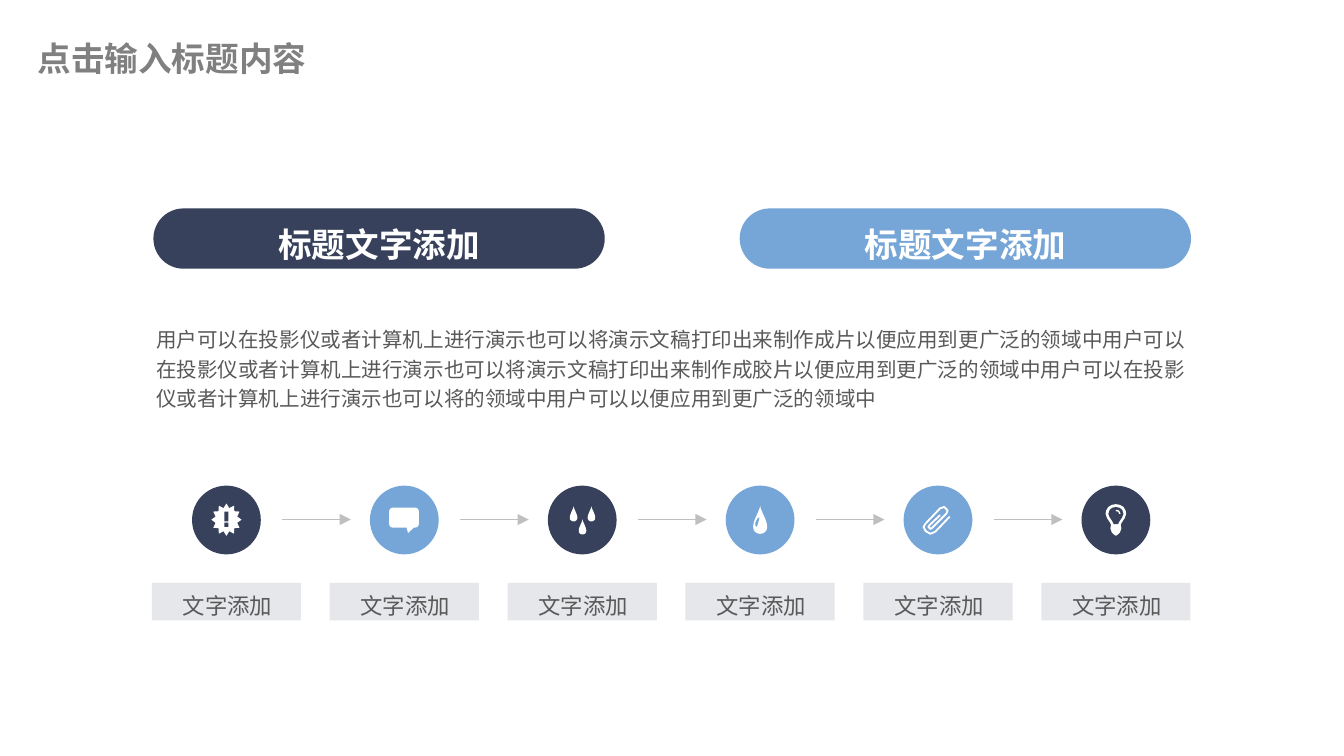
from dataclasses import dataclass
from math import cos, pi, sin

from lxml.etree import SubElement
from pptx import Presentation
from pptx.dml.color import RGBColor
from pptx.enum.shapes import MSO_CONNECTOR, MSO_SHAPE
from pptx.enum.text import MSO_ANCHOR, PP_ALIGN
from pptx.oxml.ns import qn
from pptx.util import Cm, Pt


@dataclass(frozen=True)
class Theme:
    font: str = "Noto Sans CJK SC"
    navy: str = "37415C"
    blue: str = "76A6D7"
    white: str = "FFFFFF"
    label: str = "E6E7EA"
    arrow: str = "BFBFBF"
    title: str = "808080"
    text: str = "595959"
    heading_size: float = 18
    label_size: float = 12
    body_size: float = 11


@dataclass(frozen=True)
class Box:
    left: float
    top: float
    width: float
    height: float

    def lengths(self):
        return Cm(self.left), Cm(self.top), Cm(self.width), Cm(self.height)

    def inner(self, left, top, width, height):
        return Box(self.left + left * self.width, self.top + top * self.height,
                   width * self.width, height * self.height)

    def point(self, x, y):
        return Cm(self.left + x * self.width), Cm(self.top + y * self.height)


THEME = Theme()
BODY = ("用户可以在投影仪或者计算机上进行演示也可以将演示文稿打印出来制作成片以便应用到更广泛的领域中"
        "用户可以在投影仪或者计算机上进行演示也可以将演示文稿打印出来制作成胶片以便应用到更广泛的领域中"
        "用户可以在投影仪或者计算机上进行演示也可以将的领域中用户可以以便应用到更广泛的领域中")


def paint(shape, color):
    shape.shadow.inherit = False
    shape.fill.solid()
    shape.fill.fore_color.rgb = RGBColor.from_string(color)
    shape.line.fill.background()


def add_filled(slide, kind, box, color):
    shape = slide.shapes.add_shape(kind, *box.lengths())
    paint(shape, color)
    return shape


def add_outline(slide, box, points, close=True):
    start, *rest = [box.point(x, y) for x, y in points]
    builder = slide.shapes.build_freeform(*start)
    builder.add_line_segments(rest, close=close)
    return builder.convert_to_shape()


def add_polygon(slide, box, points, color):
    paint(add_outline(slide, box, points), color)


def add_stroke(slide, box, points, width):
    shape = add_outline(slide, box, points, close=False)
    shape.shadow.inherit = False
    shape.fill.background()
    shape.line.color.rgb = RGBColor.from_string(THEME.white)
    shape.line.width = Pt(width)


def write(shape, text, size, color, bold=False, align=PP_ALIGN.LEFT,
          spacing=1.2, margins=(0.18, 0.1)):
    frame = shape.text_frame
    frame.text = text
    frame.word_wrap = True
    frame.margin_left = frame.margin_right = Cm(margins[0])
    frame.margin_top = frame.margin_bottom = Cm(margins[1])
    paragraph = frame.paragraphs[0]
    paragraph.alignment = align
    paragraph.line_spacing = spacing
    font = paragraph.runs[0].font
    font.name = THEME.font
    font.size = Pt(size)
    font.bold = bold
    font.color.rgb = RGBColor.from_string(color)
    SubElement(font._element, qn("a:ea"), typeface=THEME.font)


def place_title(slide, box):
    title = slide.shapes.title
    title.left, title.top, title.width, title.height = box.lengths()
    write(title, "点击输入标题内容", THEME.heading_size, THEME.title, bold=True,
          spacing=1.0, margins=(0, 0.13))
    title.text_frame.vertical_anchor = MSO_ANCHOR.MIDDLE


def place_heading(slide, box, color):
    pill = add_filled(slide, MSO_SHAPE.ROUNDED_RECTANGLE, box, color)
    pill.adjustments[0] = 0.5
    caption = slide.shapes.add_textbox(*box.inner(0.01, 0.03, 0.98, 0.91).lengths())
    write(caption, "标题文字添加", THEME.heading_size, THEME.white, bold=True,
          align=PP_ALIGN.CENTER)


def place_body(slide, box):
    write(slide.shapes.add_textbox(*box.lengths()), BODY, THEME.body_size, THEME.text)


def draw_drop(slide, box):
    angles = [2 * pi * step / 40 for step in range(40)]
    points = [(0.5 + 0.65 * sin(angle) * sin(angle / 2) ** 2, (1 - cos(angle)) / 2)
              for angle in angles]
    add_polygon(slide, box, points, THEME.white)


def mirror(points):
    return points + [(1 - x, y) for x, y in reversed(points[1:-1])]


def draw_alert(slide, box, color):
    star = add_filled(slide, MSO_SHAPE.STAR_12_POINT, box.inner(0.28, 0.26, 0.44, 0.47),
                      THEME.white)
    star.adjustments[0] = 0.37
    for top, height in ((0.38, 0.14), (0.54, 0.06)):
        add_filled(slide, MSO_SHAPE.RECTANGLE, box.inner(0.47, top, 0.06, height), color)


def draw_bubble(slide, box, color):
    bubble = add_filled(slide, MSO_SHAPE.ROUNDED_RECTANGULAR_CALLOUT,
                        box.inner(0.28, 0.32, 0.43, 0.29), THEME.white)
    for index, value in enumerate((0.14, 0.77, 0.17)):
        bubble.adjustments[index] = value


def draw_drops(slide, box, color):
    for left, top in ((0.31, 0.3), (0.57, 0.3), (0.44, 0.49)):
        draw_drop(slide, box.inner(left, top, 0.13, 0.22))


def draw_large_drop(slide, box, color):
    draw_drop(slide, box.inner(0.38, 0.29, 0.24, 0.41))
    add_polygon(slide, box, [(0.49, 0.46), (0.48, 0.51), (0.46, 0.58), (0.45, 0.6),
                             (0.43, 0.58), (0.43, 0.54), (0.46, 0.48)], color)


def draw_clip(slide, box, color):
    add_stroke(slide, box, [
        (0.67, 0.45), (0.46, 0.67), (0.39, 0.7), (0.32, 0.66), (0.29, 0.6),
        (0.32, 0.55), (0.53, 0.33), (0.59, 0.31), (0.64, 0.36), (0.62, 0.41),
        (0.42, 0.61), (0.39, 0.63), (0.36, 0.6), (0.38, 0.57), (0.53, 0.43)], 1)


def draw_bulb(slide, box, color):
    glass = [(0.5, 0.27), (0.56, 0.28), (0.61, 0.31), (0.64, 0.36), (0.65, 0.41),
             (0.63, 0.47), (0.59, 0.53), (0.57, 0.57), (0.58, 0.62), (0.56, 0.68),
             (0.53, 0.71), (0.5, 0.73)]
    inside = [(0.5, 0.31), (0.55, 0.32), (0.59, 0.35), (0.61, 0.41), (0.59, 0.46),
              (0.55, 0.52), (0.53, 0.56), (0.5, 0.56)]
    add_polygon(slide, box, mirror(glass), THEME.white)
    add_polygon(slide, box, mirror(inside), color)
    add_stroke(slide, box, [(0.5, 0.36), (0.54, 0.37), (0.56, 0.41)], 0.75)


def place_step(slide, box, color, draw_icon):
    diameter = 1.3
    circle = Box(box.left + (box.width - diameter) / 2, box.top, diameter, diameter)
    add_filled(slide, MSO_SHAPE.OVAL, circle, color)
    draw_icon(slide, circle, color)
    label = Box(box.left, box.top + box.height - 0.71, box.width, 0.71)
    add_filled(slide, MSO_SHAPE.RECTANGLE, label, THEME.label)
    caption = Box(label.left + 0.02, label.top - 0.05, label.width, 0.84)
    write(slide.shapes.add_textbox(*caption.lengths()), "文字添加", THEME.label_size,
          THEME.text, align=PP_ALIGN.CENTER, margins=(0.25, 0.13))


def place_arrow(slide, left, top, length):
    arrow = slide.shapes.add_connector(MSO_CONNECTOR.STRAIGHT, Cm(left), Cm(top),
                                       Cm(left + length), Cm(top))
    arrow.line.color.rgb = RGBColor.from_string(THEME.arrow)
    arrow.line.width = Pt(0.25)
    properties = arrow._element.spPr
    SubElement(properties.find(qn("a:ln")), qn("a:tailEnd"), type="triangle")
    SubElement(properties, qn("a:effectLst"))


def place_process(slide, box):
    steps = [(THEME.navy, draw_alert), (THEME.blue, draw_bubble),
             (THEME.navy, draw_drops), (THEME.blue, draw_large_drop),
             (THEME.blue, draw_clip), (THEME.navy, draw_bulb)]
    step_width = 2.82
    pitch = (box.width - step_width) / (len(steps) - 1)
    for index, (color, draw_icon) in enumerate(steps):
        left = box.left + index * pitch
        place_step(slide, Box(left, box.top, step_width, box.height), color, draw_icon)
        if index < len(steps) - 1:
            place_arrow(slide, left + 2.46, box.top + 0.64, 1.3)


def main():
    presentation = Presentation()
    presentation.slide_width = Cm(25.4)
    presentation.slide_height = Cm(14.29)
    slide = presentation.slides.add_slide(presentation.slide_layouts[5])
    place_title(slide, Box(0.71, 0.56, 5.92, 1.07))
    for left, color in ((2.9, THEME.navy), (13.98, THEME.blue)):
        place_heading(slide, Box(left, 3.94, 8.53, 1.14), color)
    place_body(slide, Box(2.77, 5.99, 19.96, 1.88))
    place_process(slide, Box(2.87, 9.18, 19.63, 2.55))
    presentation.save("out.pptx")


if __name__ == "__main__":
    main()
